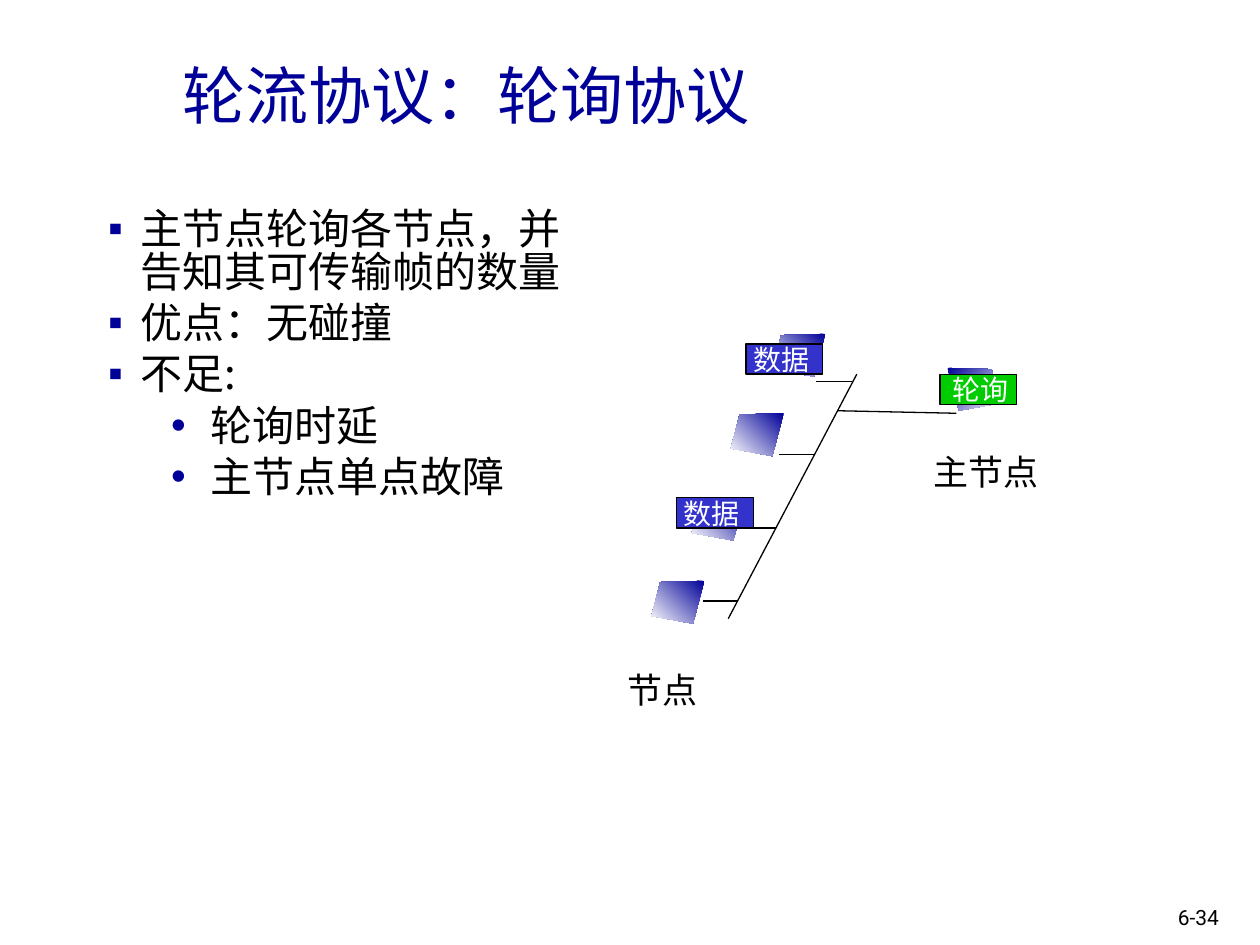
from lxml import etree
from pptx import Presentation
from pptx import util as u
from pptx.dml.color import RGBColor
from pptx.enum import shapes, text
from pptx.oxml.ns import qn

COLORS = {"navy": "000099", "black": "000000", "white": "FFFFFF",
          "data": "3333CC", "poll": "00CC00"}
CJK = "Noto Sans CJK SC"


class PollingSlide:
    """Draws styled elements on one slide."""

    def __init__(self, deck):
        self.shapes = deck.slides.add_slide(deck.slide_layouts[6]).shapes

    def color(self, name):
        return RGBColor.from_string(COLORS[name])

    def style(self, paragraph, size, color, font):
        paragraph.font.size = u.Pt(size)
        paragraph.font.name = font
        paragraph.font.color.rgb = self.color(color)
        latin = paragraph.font._element.find(qn("a:latin"))
        east_asian = etree.Element(qn("a:ea"), typeface=CJK)
        latin.addnext(east_asian)

    def box(self, left, top, width, height, wrap=True):
        frame = self.shapes.add_textbox(*map(u.Inches, (left, top, width, height))).text_frame
        frame.word_wrap = wrap
        return frame

    def label(self, wording, area, size, color="black", font="Arial", wrap=False,
              anchor=text.MSO_ANCHOR.TOP):
        frame = self.box(*area, wrap=wrap)
        frame.vertical_anchor = anchor
        if not wrap:
            frame.auto_size = text.MSO_AUTO_SIZE.SHAPE_TO_FIT_TEXT
        line = frame.paragraphs[0]
        line.text = wording
        self.style(line, size, color, font)

    def bullets(self, items, area):
        frame = self.box(*area)
        levels = [("▪", 0.26, 0.26), ("•", 0.81, 0.31)]
        for index, (level, wording) in enumerate(items):
            item = frame.add_paragraph() if index else frame.paragraphs[0]
            item.text = wording
            item.level = level
            item.line_spacing = 0.85
            if index:
                item.space_before = u.Pt(4.8)
            mark, margin, hang = levels[level]
            props = item._p.get_or_add_pPr()
            props.set("marL", str(u.Inches(margin)))
            props.set("indent", str(-u.Inches(hang)))
            tint = etree.SubElement(props, qn("a:buClr"))
            etree.SubElement(tint, qn("a:srgbClr"), val=COLORS["navy"])
            etree.SubElement(props, qn("a:buFont"), typeface="Arial")
            etree.SubElement(props, qn("a:buChar"), char=mark)
            self.style(item, 24, "black", CJK)

    def node(self, left, top, mirrored=False):
        outline = [(0.42, 0), (0.07, 0.01), (0, 0.28), (0.33, 0.34)]
        corners = [(u.Inches(left + (0.42 - x if mirrored else x)), u.Inches(top + y))
                   for x, y in outline]
        builder = self.shapes.build_freeform(*corners[0])
        builder.add_line_segments(corners[1:], close=True)
        host = builder.convert_to_shape()
        host.shadow.inherit = False
        host.line.fill.background()
        host.fill.gradient()
        host.fill.gradient_angle = 315 if mirrored else 225
        for stop, name in zip(host.fill.gradient_stops, ("navy", "white")):
            stop.color.rgb = self.color(name)

    def wire(self, *ends):
        link = self.shapes.add_connector(shapes.MSO_CONNECTOR.STRAIGHT, *map(u.Inches, ends))
        link.line.color.rgb = self.color("black")
        link.line.width = u.Pt(0.75)
        etree.SubElement(link._element.spPr, qn("a:effectLst"))

    def frame_tag(self, wording, left, top, fill, shift):
        tag = self.shapes.add_shape(shapes.MSO_SHAPE.RECTANGLE,
                                    *map(u.Inches, (left, top, 0.61, 0.24)))
        tag.shadow.inherit = False
        tag.fill.solid()
        tag.fill.fore_color.rgb = self.color(fill)
        tag.line.color.rgb = self.color("black")
        tag.line.width = u.Pt(0.75)
        self.label(wording, (left + shift, top - 0.06, 0.65, 0.37), 16, "white")


def main():
    deck = Presentation()
    deck.slide_width, deck.slide_height = u.Inches(10), u.Inches(7.5)
    slide = PollingSlide(deck)

    for left, top in [(5.17, 4.61), (5.49, 3.95), (5.8, 3.28), (6.13, 2.65)]:
        slide.node(left, top)
    slide.node(7.52, 2.92, mirrored=True)

    slide.bullets([(0, "主节点轮询各节点，并告知其可传输帧的数量"),
                   (0, "优点：无碰撞"),
                   (0, "不足:"),
                   (1, "轮询时延"),
                   (1, "主节点单点故障")], (0.76, 1.62, 4.05, 5.54))

    slide.wire(6.8, 2.97, 5.78, 4.91)
    slide.wire(6.65, 3.26, 7.59, 3.28)
    for row in range(4):
        left, height = 6.48 - 0.3 * row, 3.03 + 0.58 * row
        slide.wire(left, height, left + 0.28, height)

    slide.label("主节点", (7.31, 3.53, 1.04, 0.44), 20)
    slide.label("节点", (4.88, 5.26, 0.76, 0.44), 20)
    slide.frame_tag("轮询", 7.46, 2.97, "poll", 0)
    for left, top in [(5.37, 3.95), (5.92, 2.73)]:
        slide.frame_tag("数据", left, top, "data", -0.04)

    slide.label("6-34", (9.25, 7.13, 0.6, 0.3), 12, font="Roboto", wrap=True)
    slide.label("轮流协议：轮询协议", (1.35, 0.12, 8.5, 1.25), 36, "navy", CJK,
                wrap=True, anchor=text.MSO_ANCHOR.MIDDLE)
    deck.save("out.pptx")


if __name__ == "__main__":
    main()
